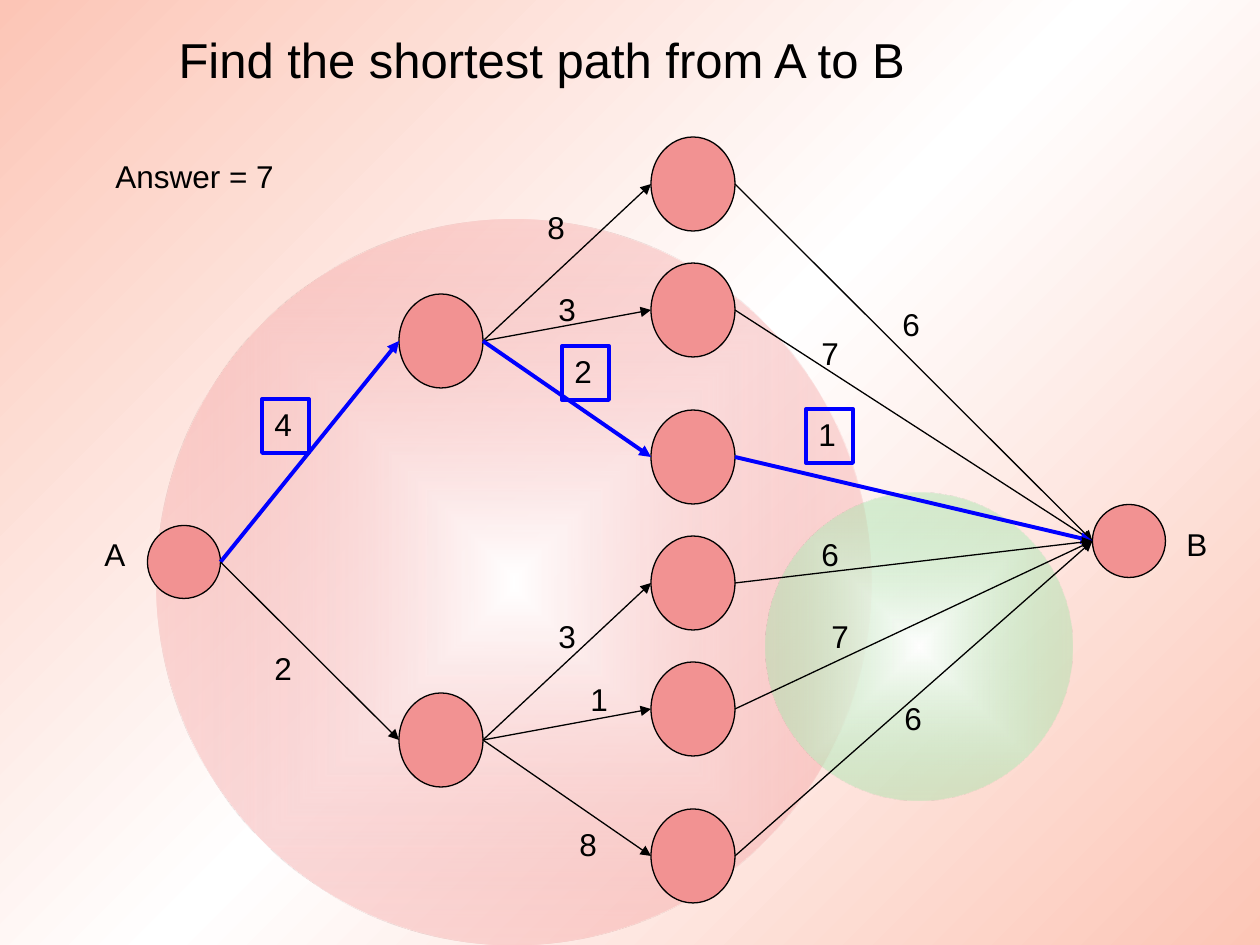
from typing import NamedTuple

from lxml.etree import SubElement
from pptx import Presentation
from pptx.dml.color import RGBColor
from pptx.enum.shapes import MSO_CONNECTOR, MSO_SHAPE
from pptx.enum.text import MSO_ANCHOR, MSO_AUTO_SIZE, PP_ALIGN
from pptx.oxml import parse_xml
from pptx.oxml.ns import nsdecls, qn
from pptx.util import Pt

EMU_PER_PX = 914400 / 126
FONT = "Arial"
BLACK = RGBColor(0x00, 0x00, 0x00)
BLUE = RGBColor(0x00, 0x00, 0xFF)
WHITE = RGBColor(0xFF, 0xFF, 0xFF)
PEACH = RGBColor(0xFC, 0xC5, 0xB6)
ROSE = RGBColor(0xF2, 0x92, 0x92)
MINT = RGBColor(0x9D, 0xE3, 0xA5)


class Box(NamedTuple):
    left: int
    top: int
    width: int
    height: int

    def inner(self, left, top, width, height):
        return Box(self.left + left, self.top + top, width, height)

    def emu(self):
        return [px(length) for length in self]


# name: centre x, centre y, width, height
NODES = {
    "A": (184, 562, 73, 73),
    "upper": (441, 341, 84, 94),
    "lower": (441, 740, 84, 94),
    "B": (1129, 541, 73, 73),
}
for number, centre_y in enumerate((184, 310, 457, 583, 709, 856), start=1):
    NODES[f"middle {number}"] = (693, centre_y, 84, 94)

# source, target, weight, label left, label top
EDGES = [
    ("A", "upper", "4", 262, 399),
    ("A", "lower", "2", 262, 643),
    ("upper", "middle 1", "8", 535, 202),
    ("upper", "middle 2", "3", 546, 284),
    ("upper", "middle 3", "2", 562, 346),
    ("lower", "middle 4", "3", 546, 611),
    ("lower", "middle 5", "1", 578, 674),
    ("lower", "middle 6", "8", 567, 819),
    ("middle 1", "B", "6", 890, 299),
    ("middle 2", "B", "7", 809, 328),
    ("middle 3", "B", "1", 806, 409),
    ("middle 4", "B", "6", 809, 529),
    ("middle 5", "B", "7", 819, 611),
    ("middle 6", "B", "6", 892, 693),
]
SHORTEST_PATH = ("A", "upper", "middle 3", "B")


def px(length):
    return round(length * EMU_PER_PX)


def apply_gradient(fill, element, stops, direction):
    """Fill with (position %, colour, opacity %) stops along a direction given as XML."""
    fill.solid()
    solid = element.find(".//" + qn("a:solidFill"))
    stop_xml = "".join(
        f'<a:gs pos="{position * 1000}"><a:srgbClr val="{colour}">'
        f'<a:alpha val="{opacity * 1000}"/></a:srgbClr></a:gs>'
        for position, colour, opacity in stops
    )
    gradient = parse_xml(
        f'<a:gradFill {nsdecls("a")} rotWithShape="1">'
        f"<a:gsLst>{stop_xml}</a:gsLst>{direction}</a:gradFill>"
    )
    solid.getparent().replace(solid, gradient)


def write_text(shape, text, size):
    frame = shape.text_frame
    frame.word_wrap = False
    frame.auto_size = MSO_AUTO_SIZE.SHAPE_TO_FIT_TEXT
    frame.vertical_anchor = MSO_ANCHOR.TOP
    paragraph = frame.paragraphs[0]
    paragraph.alignment = PP_ALIGN.LEFT
    run = paragraph.add_run()
    run.text = text
    run.font.name = FONT
    run.font.size = Pt(size)
    run.font.color.rgb = BLACK


def add_label(slide, box, text, framed=False):
    label = slide.shapes.add_textbox(*box.emu())
    write_text(label, text, 18)
    if framed:
        label.line.color.rgb = BLUE
        label.line.width = Pt(2.25)


def add_ellipse(slide, box):
    ellipse = slide.shapes.add_shape(MSO_SHAPE.OVAL, *box.emu())
    ellipse.shadow.inherit = False
    return ellipse


def add_backdrop(slide, box):
    apply_gradient(
        slide.background.fill,
        slide.element,
        [(0, PEACH, 100), (50, WHITE, 100), (100, PEACH, 100)],
        '<a:lin ang="2700000" scaled="1"/>',
    )
    from_centre = (
        '<a:path path="shape"><a:fillToRect l="50000" t="50000" r="50000" b="50000"/></a:path>'
    )
    for place, colour, opacity in (
        ((157, 220, 714, 725), ROSE, 30),
        ((766, 493, 306, 308), MINT, 40),
    ):
        disc = add_ellipse(slide, box.inner(*place))
        stops = [(0, WHITE, 100), (100, colour, opacity)]
        apply_gradient(disc.fill, disc.element, stops, from_centre)
        disc.line.fill.background()


def add_title(slide, box):
    title = slide.shapes.title
    title.left, title.top, title.width, title.height = box.emu()
    write_text(title, "Find the shortest path from A to B", 28)
    # Bring the title in front of the backdrop.
    slide.shapes.element.append(title.element)


def add_node(slide, box, centre_x, centre_y, width, height):
    place = box.inner(centre_x - width / 2, centre_y - height / 2, width, height)
    node = add_ellipse(slide, place)
    node.fill.solid()
    node.fill.fore_color.rgb = ROSE
    node.line.color.rgb = BLACK
    node.line.width = Pt(0.75)


def add_edge(slide, box, source, target, on_path):
    """Draw an arrow from the right side of source to the left side of target."""
    source_x, source_y, source_width, _ = NODES[source]
    target_x, target_y, target_width, _ = NODES[target]
    edge = slide.shapes.add_connector(
        MSO_CONNECTOR.STRAIGHT,
        px(box.left + source_x + source_width / 2),
        px(box.top + source_y),
        px(box.left + target_x - target_width / 2),
        px(box.top + target_y),
    )
    edge.line.color.rgb = BLUE if on_path else BLACK
    edge.line.width = Pt(2.25 if on_path else 0.75)
    SubElement(edge.line._get_or_add_ln(), qn("a:tailEnd"), type="triangle")
    SubElement(edge.element.spPr, qn("a:effectLst"))


def add_graph(slide, box):
    path_steps = set(zip(SHORTEST_PATH, SHORTEST_PATH[1:]))
    for node in NODES.values():
        add_node(slide, box, *node)
    for source, target, *_ in EDGES:
        add_edge(slide, box, source, target, (source, target) in path_steps)
    for source, target, weight, left, top in EDGES:
        framed = (source, target) in path_steps
        size = (47, 54) if framed else (43, 50)
        add_label(slide, box.inner(left, top, *size), weight, framed)
    add_label(slide, box.inner(92, 529, 44, 50), "A")
    add_label(slide, box.inner(1174, 519, 44, 50), "B")


def main():
    presentation = Presentation()
    page = Box(0, 0, 1260, 945)
    presentation.slide_width, presentation.slide_height = px(page.width), px(page.height)
    slide = presentation.slides.add_slide(presentation.slide_layouts[5])
    add_backdrop(slide, page)
    add_title(slide, page.inner(166, 23, 759, 72))
    add_graph(slide, page)
    add_label(slide, page.inner(103, 151, 186, 50), "Answer = 7")
    presentation.save("out.pptx")


if __name__ == "__main__":
    main()
